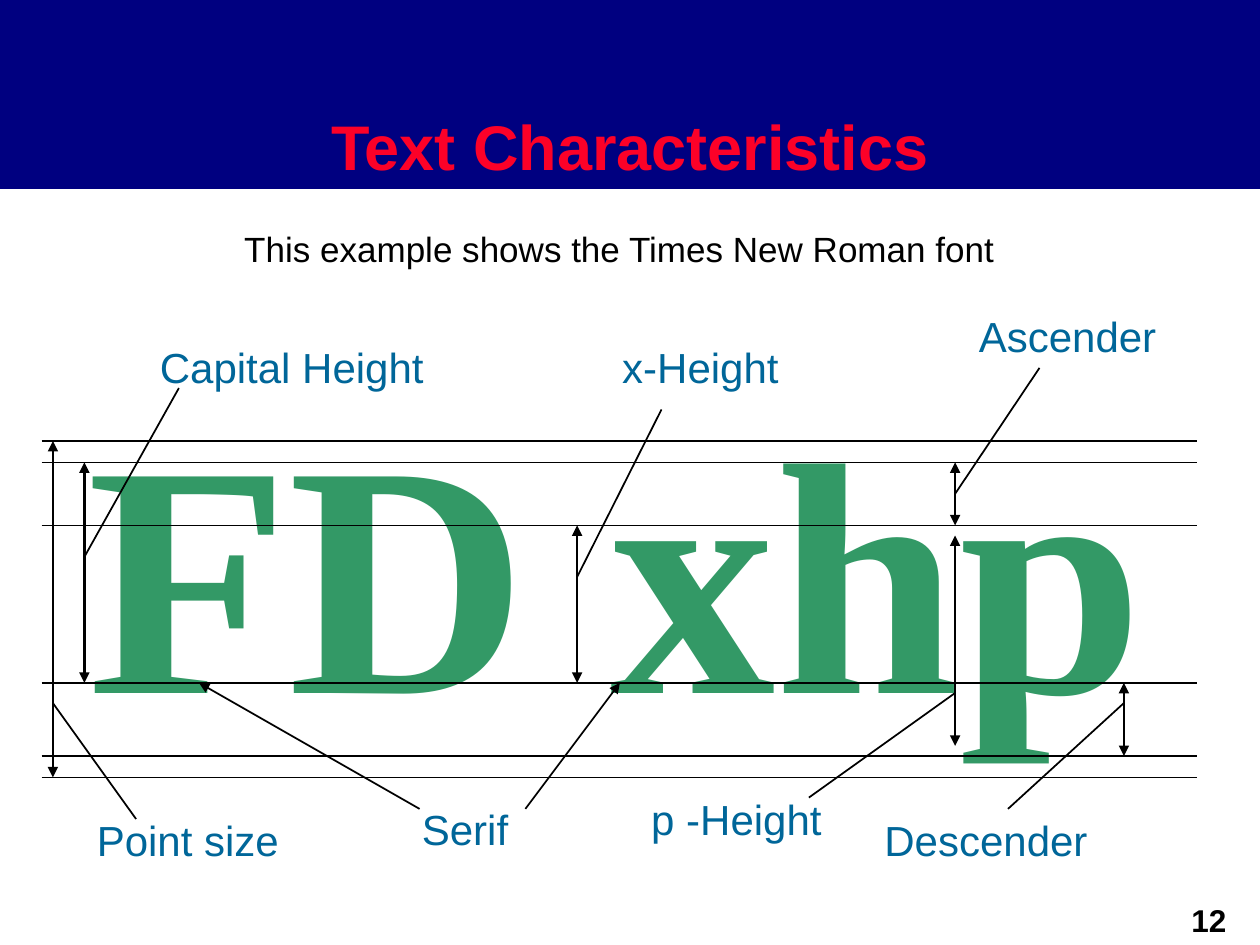
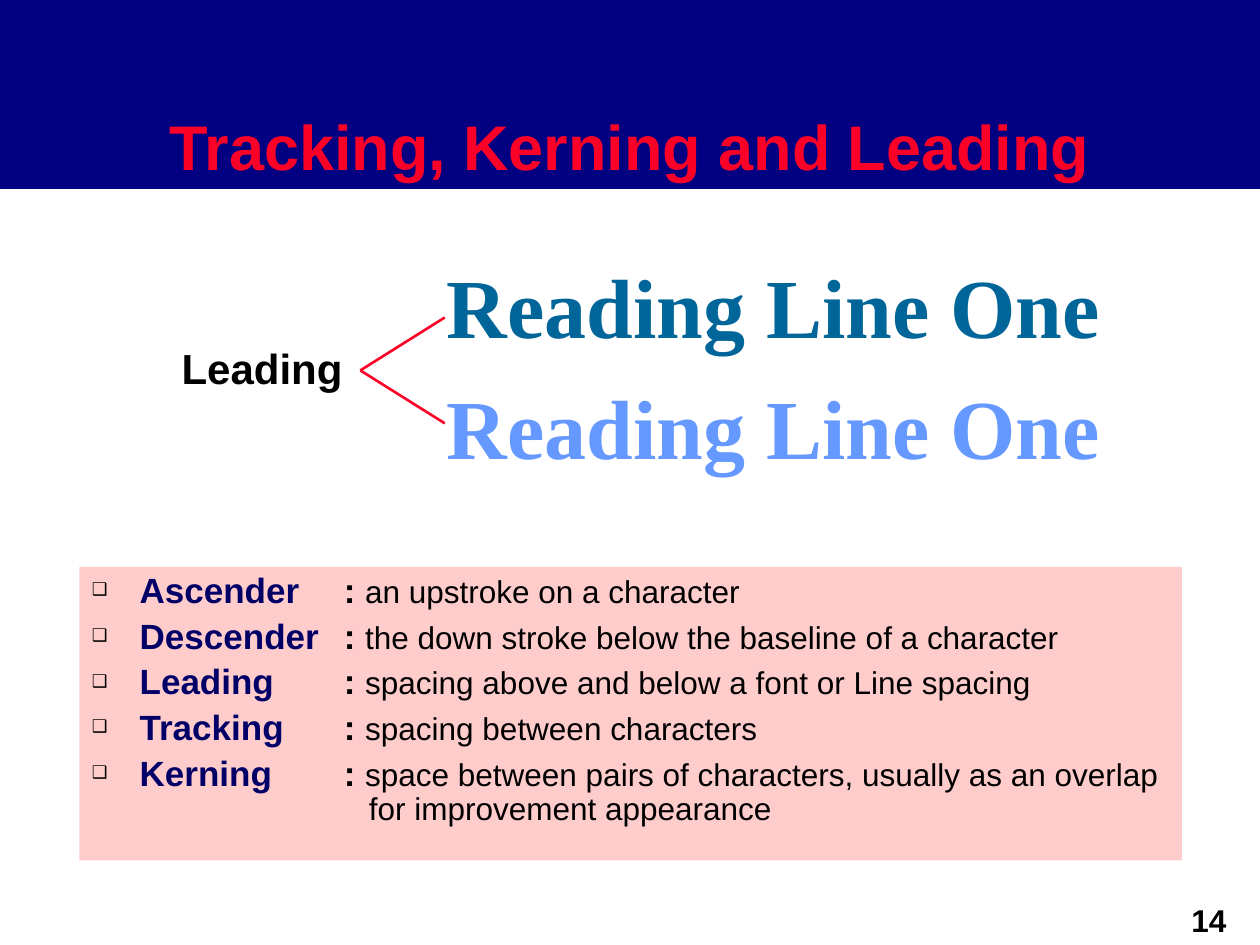
from lxml import etree
from pptx import Presentation
from pptx.dml.color import RGBColor
from pptx.enum.shapes import MSO_CONNECTOR, MSO_SHAPE
from pptx.enum.text import MSO_ANCHOR, PP_ALIGN
from pptx.oxml.ns import qn
from pptx.util import Inches, Pt

RECT = MSO_SHAPE.RECTANGLE
LINE = MSO_CONNECTOR.STRAIGHT
LEFT, MID = PP_ALIGN.LEFT, PP_ALIGN.CENTER
TOP, LOW = MSO_ANCHOR.TOP, MSO_ANCHOR.BOTTOM

HUES = {"band": "000080", "title": "FC0128", "ink": "000000",
        "label": "006699", "glyph": "339966", "pale": "6699FF",
        "panel": "FFCCCC", "term": "000066"}


def font(size, name="Arial", bold=False):
    return {"size": Pt(size), "name": name, "bold": bold}


TITLE = font(36, bold=True)
PAGE = font(18, bold=True)
NOTE = font(20)
LABEL = font(24)
HEAD = font(24, bold=True)
GLYPH = font(189, "Times New Roman", True)
SAMPLE = font(48, "Times New Roman", True)
TERM = font(20, bold=True)
BODY = font(18)


def color(key):
    return RGBColor.from_string(HUES[key])


def add_run(para, text, style, hue):
    run = para.add_run()
    run.text = text
    for key, value in style.items():
        setattr(run.font, key, value)
    run.font.color.rgb = color(hue)


def add_text(slide, box, lines, style, align=LEFT, space=1.0):
    """Place bottom-anchored lines, each a (text, hue) pair."""
    frame = slide.shapes.add_textbox(*map(Inches, box)).text_frame
    # Narrow side margins keep each line whole
    form = {"word_wrap": True, "vertical_anchor": LOW, "margin_right": 0,
            "margin_left": Inches(0.1) if align == LEFT else 0}
    for key, value in form.items():
        setattr(frame, key, value)
    for i, (text, hue) in enumerate(lines):
        para = frame.add_paragraph() if i else frame.paragraphs[0]
        para.alignment = align
        para.line_spacing = space
        add_run(para, text, style, hue)


def add_rect(slide, box, hue, anchor):
    shape = slide.shapes.add_shape(RECT, *map(Inches, box))
    shape.shadow.inherit = False
    shape.fill.solid()
    shape.fill.fore_color.rgb = color(hue)
    shape.line.fill.background()
    frame = shape.text_frame
    frame.word_wrap = True
    frame.vertical_anchor = anchor
    return frame


def add_line(slide, start, end, hue="ink", width=1, tips=()):
    """Draw a line; tips names its arrow ends, headEnd before tailEnd."""
    ends = map(Inches, (*start, *end))
    line = slide.shapes.add_connector(LINE, *ends)
    line.line.color.rgb = color(hue)
    line.line.width = Pt(width)
    for tip in tips:
        node = etree.SubElement(line.line._get_or_add_ln(), qn("a:" + tip))
        node.set("type", "triangle")
    etree.SubElement(line._element.spPr, qn("a:effectLst"))


def add_page(deck, title, number):
    """Start a slide with the title band and page number."""
    slide = deck.slides.add_slide(deck.slide_layouts[6])
    para = add_rect(slide, (0, 0, 10, 1.5), "band", LOW).paragraphs[0]
    para.alignment = MID
    add_run(para, title, TITLE, "title")
    add_text(slide, (9.26, 7.1, 0.67, 0.4), [(number, "ink")], PAGE, MID)
    return slide


# Guide heights, measured from the top guide
LEVELS = {"top": 0, "cap": 0.17, "x": 0.67,
          "base": 1.92, "foot": 2.5, "low": 2.67}

# Label, its left, top and width, arrow x, top and bottom, arrow weight,
# height where the leader meets the arrow, far end of the leader
CALLS = [
    ("Descender", (6.59, 2.91, 1.81), 8.59, LEVELS["base"], LEVELS["foot"],
     1.5, 2.08, (7.67, 2.92)),
    ("Capital Height", (0.84, -0.84, 2.29), 0.34, LEVELS["cap"],
     LEVELS["base"], 1.5, 0.92, (1.09, -0.42)),
    ("Point size", (0.34, 2.91, 1.64), 0.09, LEVELS["top"], LEVELS["low"],
     1.5, 2.08, (0.75, 3)),
    ("Ascender", (7.34, -1.09, 1.61), 7.25, LEVELS["cap"], LEVELS["x"],
     1.5, 0.42, (7.92, -0.58)),
    ("x-Height", (4.51, -0.84, 1.44), 4.25, LEVELS["x"], LEVELS["base"],
     1.5, 1.08, (4.92, -0.25)),
    ("p -Height", (4.74, 2.75, 1.55), 7.25, 0.75, 2.42,
     1, 2, (6.09, 2.83)),
]


def draw_glyphs(slide, left, top, width):
    def at(x, y):
        return left + x, top + y

    def label(text, x, y, wide):
        add_text(slide, (*at(x, y), wide, 0.5), [(text, "label")], LABEL)

    # Sample letters and guides
    add_text(slide, (*at(0.26, -0.67), 8.59, 3.25),
             [("FD xhp", "glyph")], GLYPH, MID)
    for y in LEVELS.values():
        add_line(slide, at(0, y), at(width, y))

    # Measured heights
    for text, place, x, high, low, weight, meet, far in CALLS:
        add_line(slide, at(x, low), at(x, high), width=weight,
                 tips=("headEnd", "tailEnd"))
        label(text, *place)
        add_line(slide, at(x, meet), at(*far))

    # Serif pointers
    label("Serif", 2.92, 2.83, 0.88)
    for x, tip in ((3, 1.25), (3.84, 4.59)):
        add_line(slide, at(x, 2.92), at(tip, LEVELS["base"]),
                 tips=("tailEnd",))


def draw_leading(slide, left, top):
    add_text(slide, (left + 2.11, top, 5.38, 2.02),
             [("Reading Line One", "label"), ("Reading Line One", "pale")],
             SAMPLE, MID, 1.2)
    add_text(slide, (left, top + 0.86, 1.48, 0.5),
             [("Leading", "ink")], HEAD, MID)
    x, y = left + 1.52, top + 1.13
    for rise in (-0.42, 0.42):
        add_line(slide, (x, y), (x + 0.67, y + rise), "title", 1.5)


TERMS = [
    ("Ascender", ["an upstroke on a character"]),
    ("Descender", ["the down stroke below the baseline of a character"]),
    ("Leading", ["spacing above and below a font or Line spacing"]),
    ("Tracking", ["spacing between characters"]),
    ("Kerning", ["space between pairs of characters, usually as an overlap",
                 "for improvement appearance"]),
]


def set_bullet(para):
    """Add a hanging box bullet, with stops for colon and second line."""
    props = para._p.get_or_add_pPr()
    props.set("marL", str(Inches(0.38)))
    props.set("indent", str(-Inches(0.38)))
    hue = etree.SubElement(props, qn("a:buClr"))
    etree.SubElement(hue, qn("a:srgbClr")).set("val", HUES["ink"])
    etree.SubElement(props, qn("a:buSzPct")).set("val", "50000")
    etree.SubElement(props, qn("a:buFont")).set("typeface", "Arial")
    etree.SubElement(props, qn("a:buChar")).set("char", "❑")
    tabs = etree.SubElement(props, qn("a:tabLst"))
    for stop in (2, 2.2):
        tab = etree.SubElement(tabs, qn("a:tab"))
        tab.set("pos", str(Inches(stop)))
        tab.set("algn", "l")


def draw_terms(slide, box):
    frame = add_rect(slide, box, "panel", TOP)
    for i, (term, lines) in enumerate(TERMS):
        para = frame.add_paragraph() if i else frame.paragraphs[0]
        para.alignment = LEFT
        para.line_spacing = 0.9
        para.space_before = Pt(4.5)
        set_bullet(para)
        add_run(para, term + "\t", TERM, "term")
        add_run(para, ": ", TERM, "ink")
        add_run(para, lines[0], BODY, "ink")
        for line in lines[1:]:
            para.add_line_break()
            add_run(para, "\t\t" + line, BODY, "ink")


def main():
    deck = Presentation()
    deck.slide_width, deck.slide_height = Inches(10), Inches(7.5)

    slide = add_page(deck, "Text Characteristics", "12")
    add_text(slide, (1.84, 1.75, 6.17, 0.44),
             [("This example shows the Times New Roman font", "ink")], NOTE)
    draw_glyphs(slide, 0.33, 3.5, 9.17)

    slide = add_page(deck, "Tracking, Kerning and Leading", "14")
    draw_leading(slide, 1.34, 1.81)
    draw_terms(slide, (0.63, 4.5, 8.75, 2.33))

    deck.save("out.pptx")


if __name__ == "__main__":
    main()
